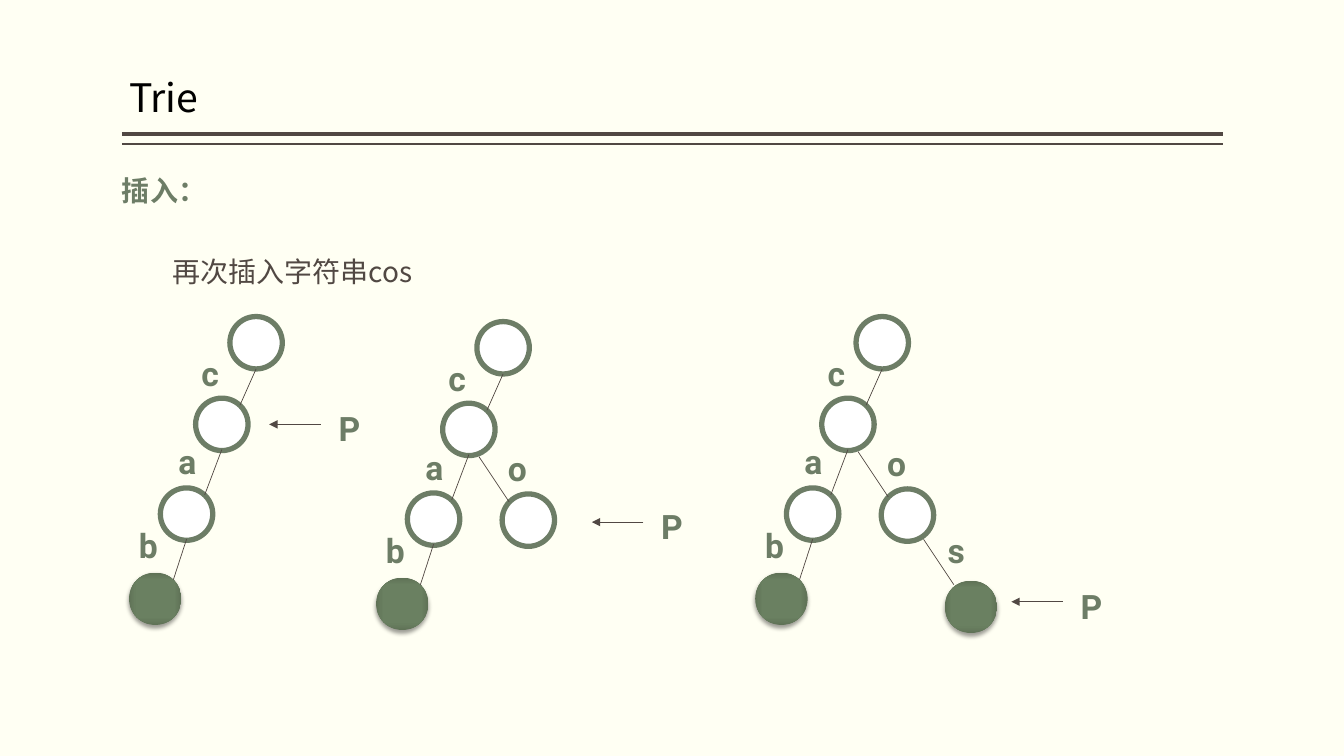
from collections import namedtuple

from lxml.etree import SubElement
from pptx import Presentation
from pptx.dml.color import RGBColor
from pptx.enum.shapes import MSO_CONNECTOR, MSO_SHAPE
from pptx.enum.text import MSO_ANCHOR, MSO_AUTO_SIZE, PP_ALIGN
from pptx.oxml import parse_xml
from pptx.oxml.ns import nsdecls, qn
from pptx.util import Pt

PX = 9144  # EMU, a hundredth of an inch

BLACK = RGBColor(0x00, 0x00, 0x00)
WHITE = RGBColor(0xFF, 0xFF, 0xFF)
CREAM = RGBColor(0xFF, 0xFF, 0xF3)
BROWN = RGBColor(0x51, 0x48, 0x43)
GREEN = RGBColor(0x6D, 0x7D, 0x66)
WORD_CENTRE = RGBColor(0x6B, 0x81, 0x62)
WORD_MIDDLE = RGBColor(0x6A, 0x80, 0x61)
WORD_EDGE = RGBColor(0x5F, 0x72, 0x56)

CJK_FONT = "Noto Sans CJK SC"
LETTER_FONT = "Roboto"
NODE_SIZE = 52

# Offsets are measured from the top left corner of the root node.
Branch = namedtuple("Branch", "letter node edge_start edge_end label ends_word")
BRANCHES = {
    branch.letter: branch
    for branch in (
        Branch("c", (-34, 81), (26, 52), (10, 88), (-38, 31), False),
        Branch("a", (-69, 170), (-8, 132), (-25, 177), (-61, 119), False),
        Branch("b", (-100, 254), (-43, 221), (-56, 261), (-100, 202), True),
        Branch("o", (25, 171), (2, 134), (32, 179), (21, 120), False),
        Branch("s", (88, 262), (67, 221), (97, 266), (81, 207), True),
    )
}

# Root corner, letters of the trie, tip of the pointer arrow
STEPS = (
    ((228, 314), "cab", (267, 421)),
    ((473, 319), "cabo", (587, 518)),
    ((849, 314), "cabos", (1003, 597)),
)


def place(shape, left, top, width, height):
    shape.left, shape.top = left * PX, top * PX
    shape.width, shape.height = width * PX, height * PX


def shifted(origin, offset):
    return origin[0] + offset[0], origin[1] + offset[1]


def add_run(paragraph, text, size, color, font_name, bold=False):
    run = paragraph.add_run()
    run.text = text
    run.font.size = Pt(size)
    run.font.bold = bold
    run.font.color.rgb = color
    run.font.name = font_name
    SubElement(run.font._element, qn("a:ea"), typeface=font_name)


def add_line(slide, start, end, weight, arrow=False):
    line = slide.shapes.add_connector(
        MSO_CONNECTOR.STRAIGHT, *(value * PX for value in (*start, *end))
    )
    line.line.color.rgb = BROWN
    line.line.width = Pt(weight)
    if arrow:
        SubElement(line.line._get_or_add_ln(), qn("a:tailEnd"), type="triangle")
    SubElement(line._element.spPr, qn("a:effectLst"))


def add_letter(slide, letter, position, width=86):
    box = slide.shapes.add_textbox(0, 0, 0, 0)
    place(box, *position, width, 50)
    box.text_frame.word_wrap = True
    add_run(box.text_frame.paragraphs[0], letter, 24, GREEN, LETTER_FONT, bold=True)


def style_word_end(node):
    """Give the node of a finished word its gradient and soft shadow."""
    node.line.fill.background()
    node.fill.background()
    properties = node._element.spPr
    stops = "".join(
        f'<a:gs pos="{position}"><a:srgbClr val="{color}"/></a:gs>'
        for position, color in (
            (0, WORD_CENTRE), (71000, WORD_MIDDLE), (100000, WORD_EDGE)
        )
    )
    gradient = parse_xml(
        f'<a:gradFill {nsdecls("a")} rotWithShape="1"><a:gsLst>{stops}</a:gsLst>'
        '<a:path path="rect"><a:fillToRect l="50000" t="50000" r="50000" b="50000"/>'
        "</a:path></a:gradFill>"
    )
    properties.replace(properties.find(qn("a:noFill")), gradient)
    shadow = parse_xml(
        f'<a:outerShdw {nsdecls("a")} blurRad="{Pt(3.1)}" dist="{Pt(2)}" '
        f'dir="5400000" rotWithShape="0"><a:srgbClr val="{BLACK}">'
        '<a:alpha val="38000"/></a:srgbClr></a:outerShdw>'
    )
    properties.find(qn("a:effectLst")).append(shadow)


def add_node(slide, position, ends_word=False):
    node = slide.shapes.add_shape(MSO_SHAPE.OVAL, 0, 0, 0, 0)
    place(node, *position, NODE_SIZE, NODE_SIZE)
    node.shadow.inherit = False
    if ends_word:
        style_word_end(node)
    else:
        node.fill.solid()
        node.fill.fore_color.rgb = WHITE
        node.line.color.rgb = GREEN
        node.line.width = Pt(3.78)


def add_trie(slide, root, letters):
    branches = [BRANCHES[letter] for letter in letters]
    add_node(slide, root)
    for branch in branches:
        add_node(slide, shifted(root, branch.node), branch.ends_word)
    for branch in branches:
        start = shifted(root, branch.edge_start)
        end = shifted(root, branch.edge_end)
        add_line(slide, start, end, 0.5)
        add_letter(slide, branch.letter, shifted(root, branch.label))


def add_pointer(slide, tip):
    add_line(slide, shifted(tip, (51, 0)), tip, 0.5, arrow=True)
    add_letter(slide, "P", shifted(tip, (59, -21)), width=66)


def fill_title(title):
    place(title, 128, 63, 983, 62)
    frame = title.text_frame
    frame.auto_size = MSO_AUTO_SIZE.NONE
    frame.vertical_anchor = MSO_ANCHOR.BOTTOM
    frame.margin_left = frame.margin_right = 0
    paragraph = frame.paragraphs[0]
    paragraph.alignment = PP_ALIGN.LEFT
    paragraph.line_spacing = 0.9
    add_run(paragraph, "Trie", 28, BLACK, CJK_FONT)


def add_body_line(paragraph, text, color, indent=0, bold=False):
    properties = paragraph._p.get_or_add_pPr()
    properties.set("marL", str(indent * PX))
    properties.set("indent", "0")
    SubElement(properties, qn("a:buNone"))
    paragraph.line_spacing = 2.0
    paragraph.space_before = Pt(0)
    paragraph.space_after = Pt(10)
    add_run(paragraph, text, 20, color, CJK_FONT, bold)


def fill_body(body):
    place(body, 111, 134, 1050, 149)
    frame = body.text_frame
    frame.auto_size = MSO_AUTO_SIZE.NONE
    frame.vertical_anchor = MSO_ANCHOR.TOP
    add_body_line(frame.paragraphs[0], "插入：", GREEN, bold=True)
    add_body_line(frame.add_paragraph(), "再次插入字符串cos", BROWN, indent=50)


def main():
    presentation = Presentation()
    presentation.slide_width = 1333 * PX
    presentation.slide_height = 750 * PX
    slide = presentation.slides.add_slide(presentation.slide_layouts[1])
    slide.background.fill.solid()
    slide.background.fill.fore_color.rgb = CREAM

    for y, weight in ((133, 3), (143, 1)):
        add_line(slide, (121, y), (1213, y), weight)
    fill_title(slide.shapes.title)
    fill_body(slide.placeholders[1])
    for root, letters, tip in STEPS:
        add_trie(slide, root, letters)
        add_pointer(slide, tip)

    presentation.save("out.pptx")


if __name__ == "__main__":
    main()
